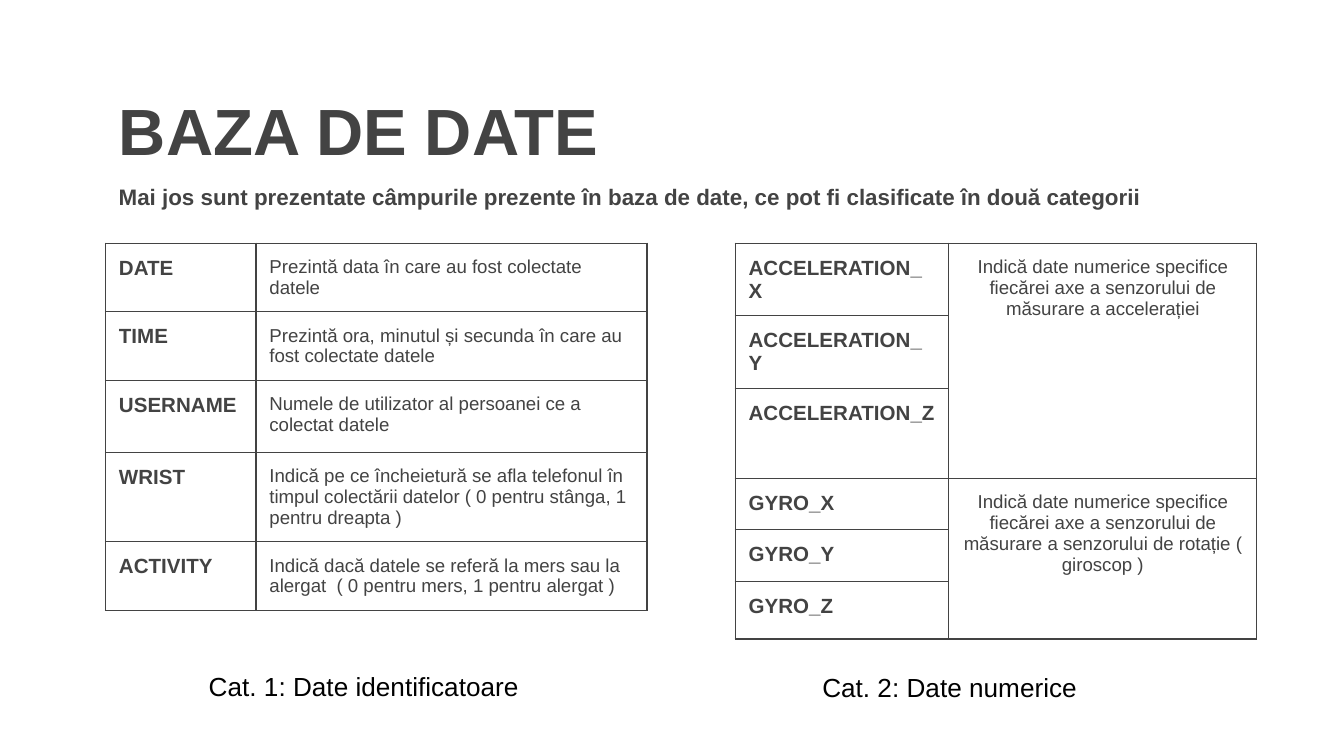
"""Build the "BAZA DE DATE" slide with its two tables of database fields."""
import lxml.etree
import pptx
import pptx.dml.color
import pptx.enum.text
import pptx.oxml.ns
import pptx.util

PX = 4572
INSET = 20 * PX
COLORS = {"text": "434343", "caption": "000000"}
LEFT = pptx.enum.text.PP_ALIGN.LEFT
CENTER = pptx.enum.text.PP_ALIGN.CENTER


def write_text(frame, text, size, bold=False, color="text", align=LEFT):
    frame.word_wrap = True
    frame.text = text
    paragraph = frame.paragraphs[0]
    paragraph.alignment = align
    paragraph.font.name = "Arial"
    paragraph.font.size = pptx.util.Pt(size)
    paragraph.font.bold = bold
    paragraph.font.color.rgb = pptx.dml.color.RGBColor.from_string(COLORS[color])


def draw_borders(cell):
    properties = cell._tc.get_or_add_tcPr()
    for position, side in enumerate(("lnL", "lnR", "lnT", "lnB")):
        line = lxml.etree.Element(pptx.oxml.ns.qn(f"a:{side}"), w=str(pptx.util.Pt(0.75)))
        fill = lxml.etree.SubElement(line, pptx.oxml.ns.qn("a:solidFill"))
        lxml.etree.SubElement(fill, pptx.oxml.ns.qn("a:srgbClr"), val=COLORS["text"])
        properties.insert(position, line)


presentation = pptx.Presentation()
presentation.slide_width = 2000 * PX
presentation.slide_height = 1125 * PX
slide = presentation.slides.add_slide(presentation.slide_layouts[5])

title = slide.shapes.title
title.left, title.top, title.width, title.height = 157 * PX, 114 * PX, 1686 * PX, 126 * PX
subtitle = slide.shapes.add_textbox(157 * PX, 252 * PX, 1686 * PX, 82 * PX)
headings = [
    (title, "BAZA DE DATE", 35, INSET),
    (subtitle, "Mai jos sunt prezentate câmpurile prezente în baza de date, "
     "ce pot fi clasificate în două categorii", 12, 0),
]
for shape, text, size, right_inset in headings:
    frame = shape.text_frame
    frame.auto_size = pptx.enum.text.MSO_AUTO_SIZE.NONE
    frame.vertical_anchor = pptx.enum.text.MSO_ANCHOR.TOP
    frame.margin_left = frame.margin_top = frame.margin_bottom = INSET
    frame.margin_right = right_inset
    write_text(frame, text, size, bold=True)

identifier_fields = [
    ("DATE", "Prezintă data în care au fost colectate datele"),
    ("TIME", "Prezintă ora, minutul și secunda în care au fost colectate datele"),
    ("USERNAME", "Numele de utilizator al persoanei ce a colectat datele"),
    ("WRIST", "Indică pe ce încheietură se afla telefonul în timpul colectării datelor "
     "( 0 pentru stânga, 1 pentru dreapta )"),
    ("ACTIVITY", "Indică dacă datele se referă la mers sau la alergat  "
     "( 0 pentru mers, 1 pentru alergat )"),
]
numeric_fields = [
    ("ACCELERATION_X", "Indică date numerice specifice fiecărei axe a senzorului "
     "de măsurare a accelerației"),
    ("ACCELERATION_Y", ""),
    ("ACCELERATION_Z", ""),
    ("GYRO_X", "Indică date numerice specifice fiecărei axe a senzorului "
     "de măsurare a senzorului de rotație ( giroscop )"),
    ("GYRO_Y", ""),
    ("GYRO_Z", ""),
]
tables = [
    (157, (224, 582), (102, 102, 107, 133, 102), identifier_fields, LEFT, 1),
    (1094, (318, 458), (108, 108, 134, 76, 77, 86), numeric_fields, CENTER, 3),
]
for left, widths, heights, fields, align, span in tables:
    table = slide.shapes.add_table(
        len(fields), 2, left * PX, 362 * PX, sum(widths) * PX, sum(heights) * PX
    ).table
    table.first_row = table.horz_banding = False
    for column, width in zip(table.columns, widths):
        column.width = width * PX
    for row, height, (name, description) in zip(table.rows, heights, fields):
        row.height = height * PX
        name_cell, description_cell = row.cells
        write_text(name_cell.text_frame, name, 11, bold=True)
        write_text(description_cell.text_frame, description, 10, align=align)
        description_cell.text_frame.paragraphs[0].space_after = pptx.util.Pt(16)
        for cell in row.cells:
            cell.margin_left = cell.margin_right = INSET
            cell.margin_top = cell.margin_bottom = INSET
            cell.fill.background()
            draw_borders(cell)
    if span > 1:
        for first in range(0, len(fields), span):
            table.cell(first, 1).merge(table.cell(first + span - 1, 1))

captions = [(291, 988, "Cat. 1: Date identificatoare"), (1204, 990, "Cat. 2: Date numerice")]
for left, top, text in captions:
    caption = slide.shapes.add_textbox(left * PX, top * PX, 666 * PX, 68 * PX)
    caption.text_frame.auto_size = pptx.enum.text.MSO_AUTO_SIZE.SHAPE_TO_FIT_TEXT
    write_text(caption.text_frame, text, 14, color="caption")

presentation.save("out.pptx")
